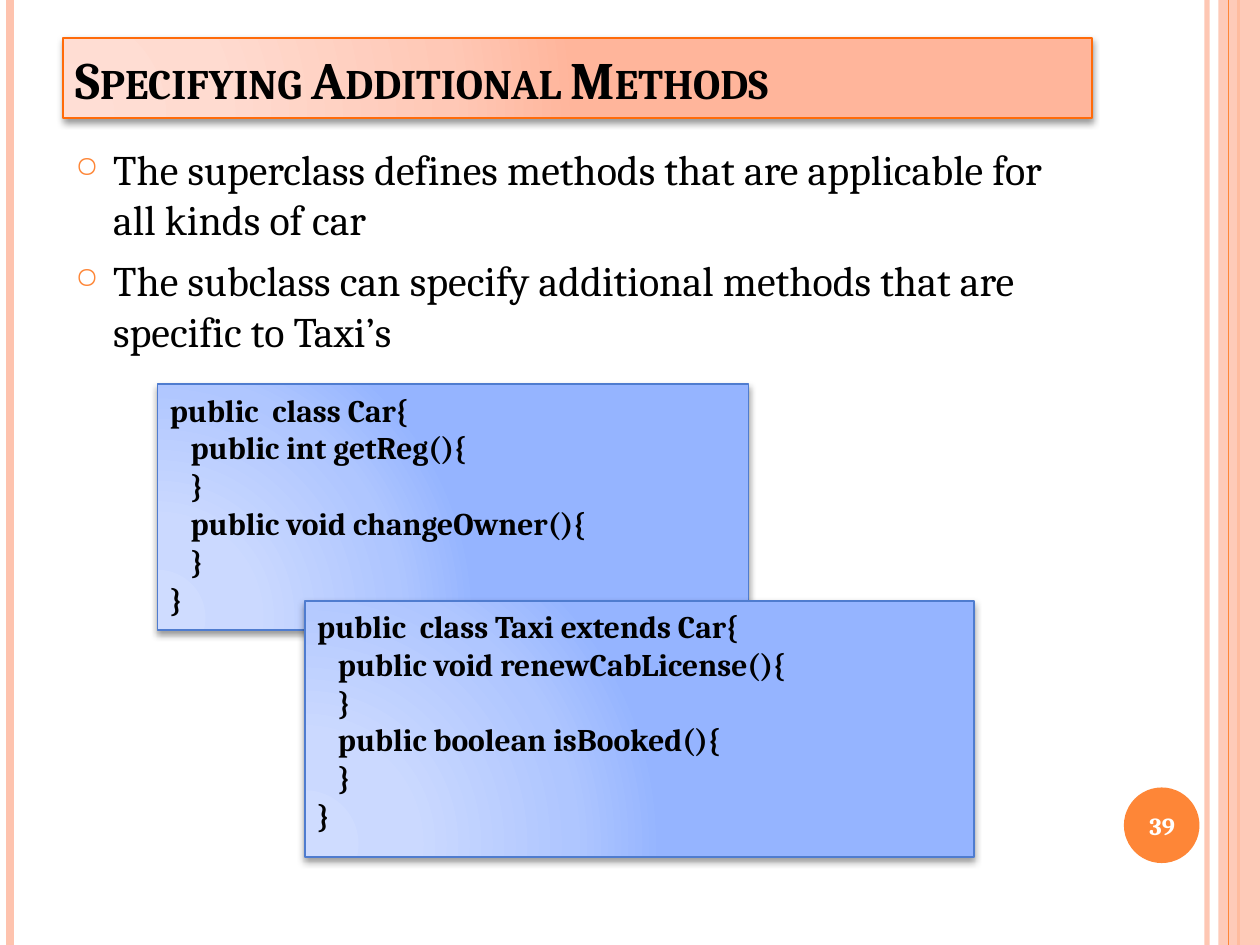
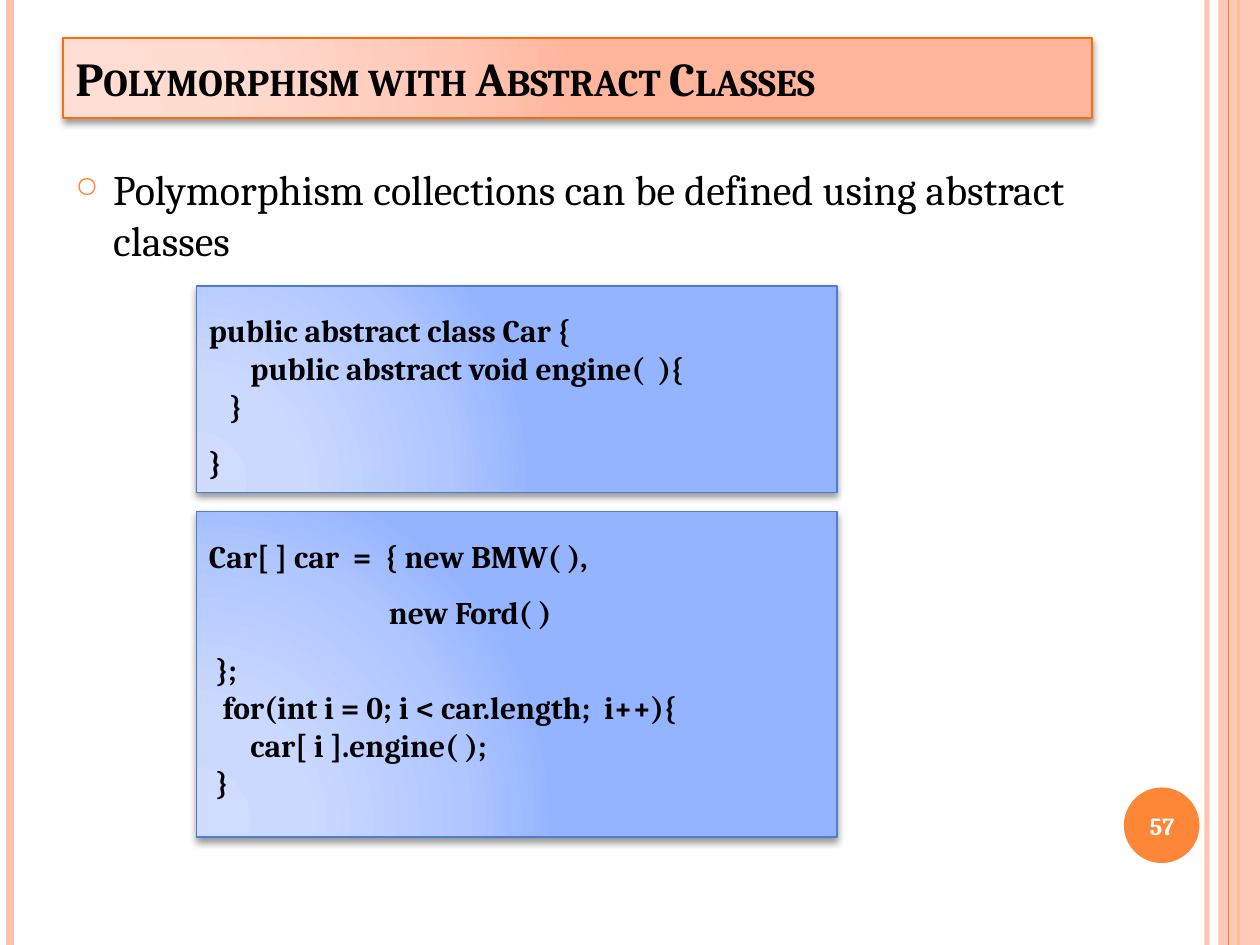
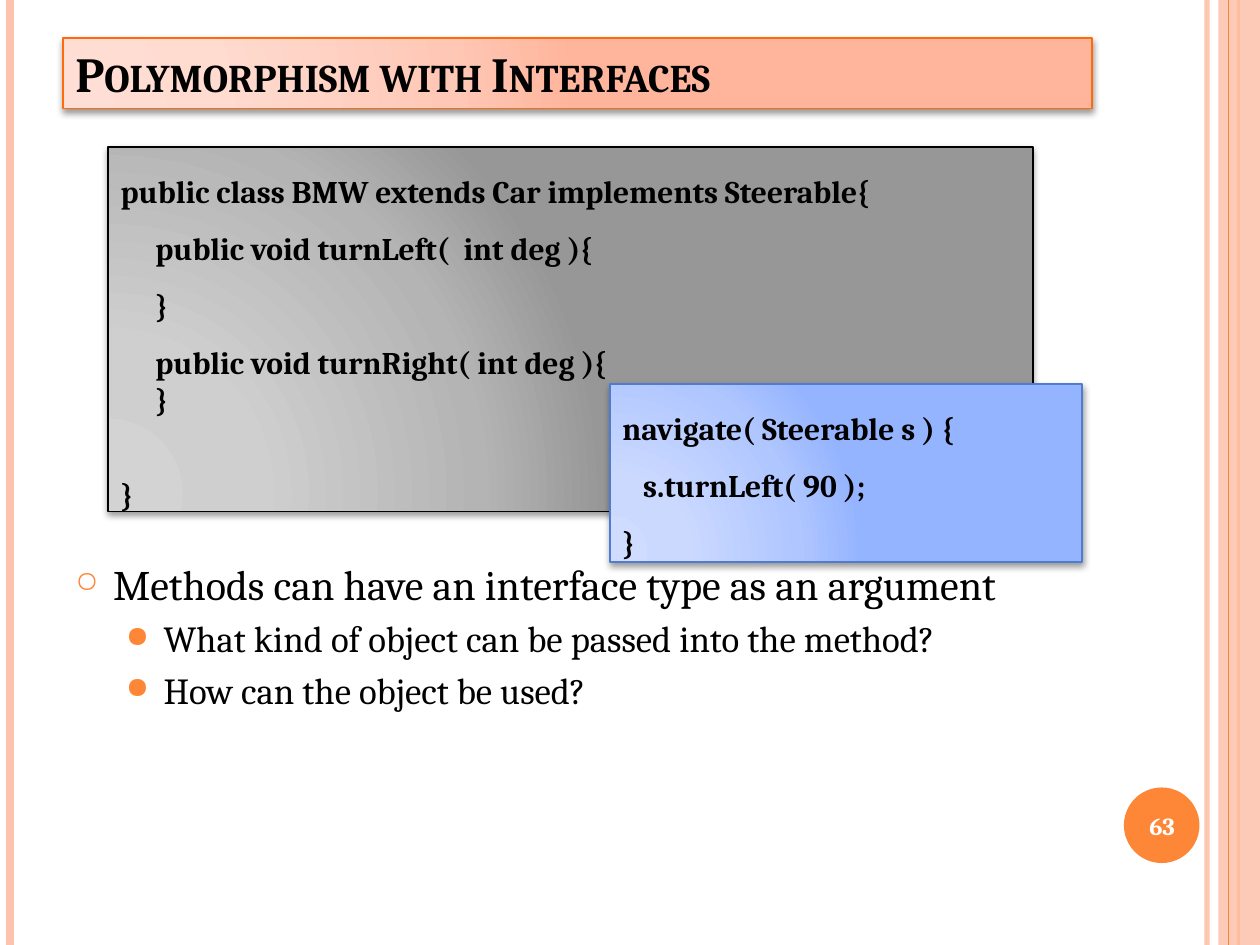
"""Build three lecture slides on methods, abstract classes and interfaces."""
from lxml.etree import SubElement as Sub
from pptx import Presentation
from pptx.dml.color import RGBColor as RGB
from pptx.enum.shapes import MSO_CONNECTOR as LINK, MSO_SHAPE as SHAPE
from pptx.enum.text import MSO_ANCHOR as ANCHOR, PP_ALIGN as ALIGN
from pptx.oxml.ns import qn
from pptx.util import Pt

WIDE, HIGH = 720, 540
FONT = "Cambria"
ORANGE, PEACH, BLACK, WHITE = "FE8637", "FEC3AE", "000000", "FFFFFF"
STOPS = (0, 30, 75, 100)
WARM = (("FFDED5", "FFDBD0", "FFC8B6", "FFB59B"), "FF6B0A")
BLUE = (("CFDCFF", "CBD9FF", "AFC6FF", "95B4FF"), "4F7CCF")
GRAY = (("D3D3D3", "CFCFCF", "B4B4B4", "979797"), BLACK)
FOCUS = {"l": 5, "t": 100, "r": 120, "b": 10}
RULES = ((689.76, PEACH, 3, 93), (5.76, PEACH, 4.5, 100), (707.76, ORANGE, 1.5, 100))
LEVELS = (("○", 70, 21.6, 24, 6), ("●", 80, 50.4, 21, 4.2))


def color(code):
    """Turn a hex string into a colour."""
    return RGB.from_string(code)


def node(parent, tag, **attrs):
    """Add a drawing element with its attributes."""
    return Sub(parent, qn("a:" + tag), {key: str(val) for key, val in attrs.items()})


def fade(item, share):
    """Make the colours of an item partly transparent."""
    if share < 100:
        for tint in list(item.element.spPr.iter(qn("a:srgbClr"))):
            node(tint, "alpha", val=share * 1000)


def rule(slide, x, tint, width, share=100):
    """Draw a full-height vertical line."""
    line = slide.shapes.add_connector(LINK.STRAIGHT, Pt(x), Pt(0), Pt(x), Pt(HIGH))
    line.line.color.rgb = color(tint)
    line.line.width = Pt(width)
    fade(line, share)
    node(line.element.spPr, "effectLst")


def block(slide, kind, box, tint):
    """Draw a plain filled shape."""
    shape = slide.shapes.add_shape(kind, *map(Pt, box))
    shape.shadow.inherit = False
    shape.fill.solid()
    shape.fill.fore_color.rgb = color(tint)
    shape.line.fill.background()
    return shape


def panel(slide, box, style):
    """Draw a shadowed rectangle with a radial gradient."""
    tints, edge = style
    shape = block(slide, SHAPE.RECTANGLE, box, tints[0])
    shape.line.color.rgb = color(edge)
    shape.line.width = Pt(1)
    shape.fill.gradient()
    props = shape.element.spPr
    grad = props.find(qn("a:gradFill"))
    for child in list(grad):
        grad.remove(child)
    stops = node(grad, "gsLst")
    for place, tint in zip(STOPS, tints):
        node(node(stops, "gs", pos=place * 1000), "srgbClr", val=tint)
    core = node(grad, "path", path="circle")
    node(core, "fillToRect", **{side: val * 1000 for side, val in FOCUS.items()})
    shade = node(props.find(qn("a:effectLst")), "outerShdw", blurRad=Pt(4),
                 dist=Pt(2), dir=90 * 60000, algn="ctr", rotWithShape=0)
    node(node(shade, "srgbClr", val=BLACK), "alpha", val=40000)
    return shape


def frame(shape, anchor=ANCHOR.TOP):
    """Prepare the text frame of a shape."""
    area = shape.text_frame
    area.word_wrap = True
    area.vertical_anchor = anchor
    return area


def write(area, text, size=18, tint=BLACK, bold=False, align=ALIGN.LEFT,
          first=False, gap=0, space=1, small=False, level=None):
    """Write one formatted paragraph and return it."""
    para = area.paragraphs[0] if first else area.add_paragraph()
    para.alignment = align
    para.line_spacing = space
    if gap and not first:
        para.space_before = Pt(gap)
    if level is not None:
        mark, scale, left = LEVELS[level][:3]
        para.level = level
        props = para._p.get_or_add_pPr()
        props.set("marL", str(Pt(left)))
        props.set("indent", str(-Pt(21.6)))
        node(node(props, "buClr"), "srgbClr", val=ORANGE)
        node(props, "buSzPct", val=scale * 1000)
        node(props, "buChar", char=mark)
    run = para.add_run()
    run.text = text
    font = run.font
    font.name, font.size, font.bold = FONT, Pt(size), bold
    font.color.rgb = color(tint)
    if small:
        run._r.get_or_add_rPr().set("cap", "small")
    return para


def label(slide, box, anchor=ANCHOR.TOP):
    """Add a text box and return its text frame."""
    return frame(slide.shapes.add_textbox(*map(Pt, box)), anchor)


def points(slide, top, items):
    """Write a bulleted list of (level, text) pairs."""
    area = label(slide, (36, top, 588, 510 - top))
    for spot, (level, text) in enumerate(items):
        size, gap = LEVELS[level][3:]
        write(area, text, size, level=level, gap=gap, first=spot == 0)


def code(slide, box, lines, loose=(), gaps=None, style=BLUE):
    """Show code lines in a panel, the loose ones widely spaced."""
    area = frame(panel(slide, box, style))
    for spot, text in enumerate(lines):
        write(area, text, bold=True, first=spot == 0, gap=(gaps or {}).get(spot, 0),
              space=1.5 if spot in loose else 1)


def start(deck, title, size, number, tall=46):
    """Add a slide with its side bands, title and number."""
    slide = deck.slides.add_slide(deck.slide_layouts[6])
    for spec in RULES:
        rule(slide, *spec)
    fade(block(slide, SHAPE.RECTANGLE, (696.24, 0, 23.76, HIGH), PEACH), 87)
    rule(slide, 702, ORANGE, 0.75)
    block(slide, SHAPE.OVAL, (642.24, 450, 43.2, 43.2), ORANGE)
    head = panel(slide, (36, 21.6, 588, tall), WARM)
    write(frame(head, ANCHOR.MIDDLE), title, size, bold=True, small=True, first=True)
    write(label(slide, (640, 451.4, 48.2, 41), ANCHOR.MIDDLE), number, 14, WHITE,
          bold=True, align=ALIGN.CENTER, first=True)
    return slide


def methods(deck):
    """Build the slide on additional methods."""
    slide = start(deck, "Specifying Additional Methods", 30, "39")
    points(slide, 78.5, (
        (0, "The superclass defines methods that are applicable for all kinds of car"),
        (0, "The subclass can specify additional methods that are specific to Taxi’s")))
    code(slide, (90, 219.6, 337.7, 140.4), (
        "public  class Car{",
        "   public int getReg(){",
        "   }",
        "   public void changeOwner(){",
        "   }",
        "}"))
    code(slide, (174.2, 343.4, 382.3, 146.2), (
        "public  class Taxi extends Car{",
        "   public void renewCabLicense(){",
        "   }",
        "   public boolean isBooked(){",
        "   }",
        "}"))


def classes(deck):
    """Build the slide on abstract classes."""
    slide = start(deck, "Polymorphism with Abstract Classes", 27, "57")
    points(slide, 90, (
        (0, "Polymorphism collections can be defined using abstract classes"),))
    code(slide, (112.3, 163.4, 365.8, 118.1), (
        "public abstract class Car {",
        "      public abstract void engine(  ){",
        "   }",
        "}"), loose=(0, 3))
    code(slide, (112.3, 292.3, 365.8, 185.8), (
        "Car[ ] car  =  { new BMW( ),",
        "                          new Ford( )",
        " };",
        "  for(int i = 0; i < car.length;  i++){",
        "      car[ i ].engine( );",
        " }"), loose=(0, 1, 2))


def faces(deck):
    """Build the slide on interfaces."""
    slide = start(deck, "Polymorphism with Interfaces", 28, "63", tall=40.4)
    points(slide, 315.6, (
        (0, "Methods can have an interface type as an argument"),
        (1, "What kind of object can be passed into the method?"),
        (1, "How can the object be used?")))
    code(slide, (61.9, 84.2, 528.5, 208.1), (
        "public class BMW extends Car implements Steerable{",
        "     public void turnLeft(  int deg ){",
        "     }",
        "     public void turnRight( int deg ){",
        "     }",
        "}"), loose=(0, 1, 2, 3, 5), gaps={5: 21.6}, style=GRAY)
    code(slide, (348.5, 219.6, 270, 101.5), (
        "navigate( Steerable s ) {",
        "   s.turnLeft( 90 );",
        "}"), loose=(0, 1, 2))


def main():
    """Build and save the deck."""
    deck = Presentation()
    deck.slide_width, deck.slide_height = Pt(WIDE), Pt(HIGH)
    for build in (methods, classes, faces):
        build(deck)
    deck.save("out.pptx")


if __name__ == "__main__":
    main()
